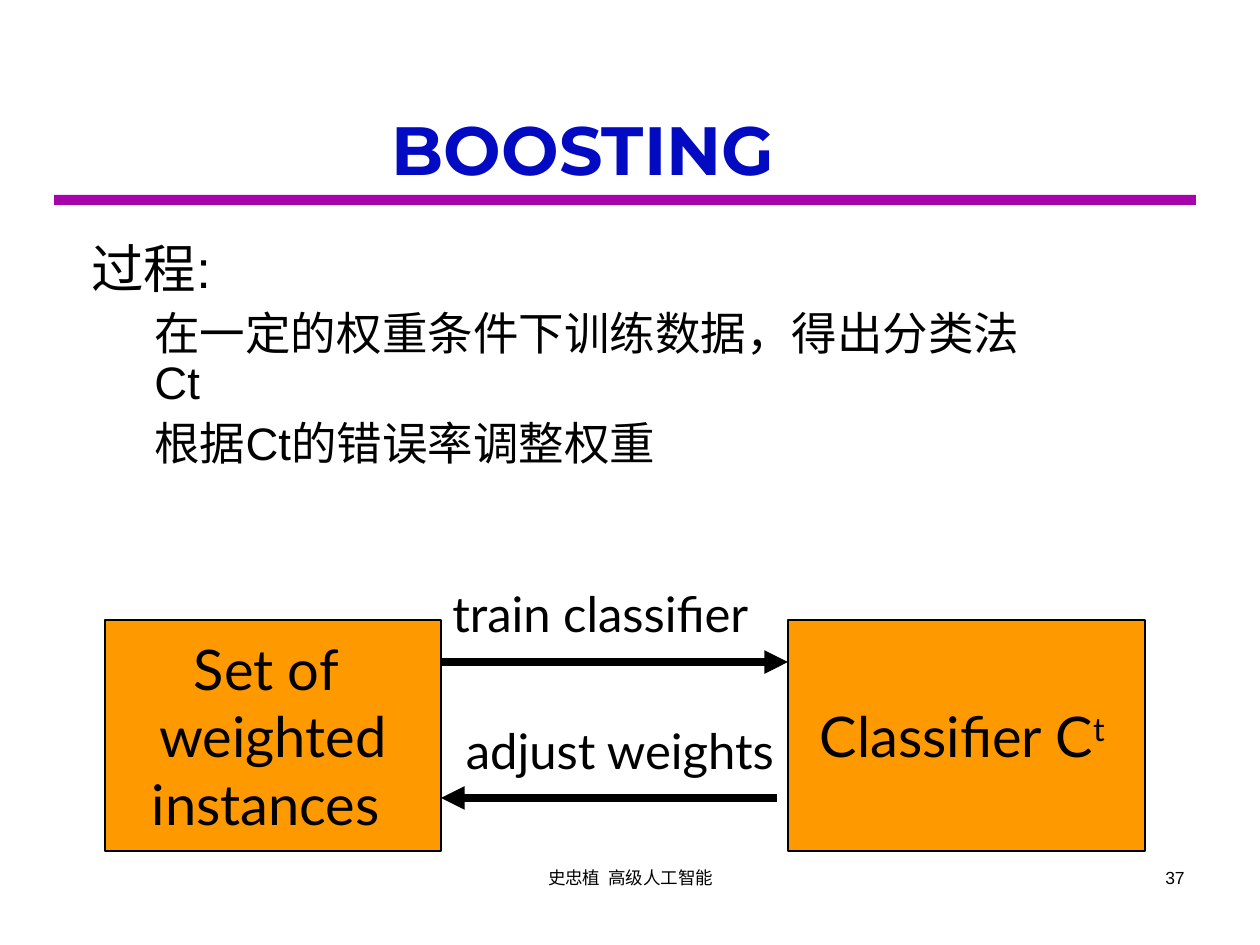
import pptx
import pptx.util
import pptx.dml.color
import pptx.enum.shapes
import pptx.enum.text
import pptx.oxml.ns
from lxml import etree

PX = 914400 / 126
ALIGN = pptx.enum.text.PP_ALIGN
ANCHOR = pptx.enum.text.MSO_ANCHOR
RECTANGLE = pptx.enum.shapes.MSO_SHAPE.RECTANGLE
THEME = {
    "title": ("Montserrat", 39, "020BC2"),
    "body": ("Arial", 30, "000000"),
    "detail": ("Arial", 26, "000000"),
    "box": ("Lato", 32, "000000"),
    "label": ("Lato", 28, "000000"),
    "footer": ("Arial", 10, "000000"),
    "rule": "A603AB",
    "box_fill": "FF9900",
    "line": "000000",
}


def px(*lengths):
    return [pptx.util.Emu(round(length * PX)) for length in lengths]


def write(shape, text, style, align=ALIGN.LEFT, anchor=ANCHOR.TOP, wrap=True):
    name, size, color = THEME[style]
    frame = shape.text_frame
    frame.text = text
    frame.word_wrap = wrap
    frame.vertical_anchor = anchor
    for paragraph in frame.paragraphs:
        paragraph.alignment = align
        for run in paragraph.runs:
            run.font.name = name
            run.font.size = pptx.util.Pt(size)
            run.font.color.rgb = pptx.dml.color.RGBColor.from_string(color)
    return frame


presentation = pptx.Presentation()
presentation.slide_width, presentation.slide_height = px(1260, 945)
slide = presentation.slides.add_slide(presentation.slide_layouts[6])
shapes = slide.shapes

# Rule under the title
rule = shapes.add_shape(RECTANGLE, *px(54, 195, 1142, 10))
rule.shadow.inherit = False
rule.fill.solid()
rule.fill.fore_color.rgb = pptx.dml.color.RGBColor.from_string(THEME["rule"])
rule.line.fill.background()

# Footer and slide number
write(shapes.add_textbox(*px(431, 861, 399, 63)), "史忠植  高级人工智能", "footer", ALIGN.CENTER)
write(shapes.add_textbox(*px(903, 861, 294, 63)), "37", "footer", ALIGN.RIGHT)

# Title
title = write(shapes.add_textbox(*px(63, 16, 1040, 179)), "BOOSTING", "title",
              ALIGN.CENTER, ANCHOR.BOTTOM)
title.paragraphs[0].runs[0].font.bold = True

# Procedure: a heading and two indented steps
body = write(shapes.add_textbox(*px(79, 237, 978, 287)),
             "过程:\n在一定的权重条件下训练数据，得出分类法Ct\n根据Ct的错误率调整权重", "body")
for paragraph in body.paragraphs:
    paragraph.line_spacing = 0.9
for paragraph in body.paragraphs[1:]:
    paragraph.level = 1
    paragraph.space_before = pptx.util.Pt(6.5)
    properties = paragraph._p.get_or_add_pPr()
    properties.set("marL", str(px(63)[0]))
    properties.set("indent", "0")
    paragraph.runs[0].font.size = pptx.util.Pt(THEME["detail"][1])

# Boxes
boxes = []
for left, width, text in [(105, 336, "Set of \nweighted\ninstances "),
                          (788, 357, "Classifier C")]:
    box = shapes.add_shape(RECTANGLE, *px(left, 620, width, 231))
    box.shadow.inherit = False
    box.fill.solid()
    box.fill.fore_color.rgb = pptx.dml.color.RGBColor.from_string(THEME["box_fill"])
    box.line.color.rgb = pptx.dml.color.RGBColor.from_string(THEME["line"])
    box.line.width = pptx.util.Pt(0.75)
    boxes.append(write(box, text, "box", ALIGN.CENTER, ANCHOR.MIDDLE, wrap=False))

# Superscript on the classifier
name, size, color = THEME["box"]
superscript = boxes[1].paragraphs[0].add_run()
superscript.text = "t "
superscript.font.name = name
superscript.font.size = pptx.util.Pt(size)
superscript.font.color.rgb = pptx.dml.color.RGBColor.from_string(color)
superscript._r.get_or_add_rPr().set("baseline", "30000")

# Arrows between the boxes, each with its label
for start, end, y, label, bounds, wrap in [
    (441, 788, 662, "train classifier", (440, 577, 346, 72), False),
    (777, 441, 798, " adjust weights", (441, 714, 420, 131), True),
]:
    arrow = shapes.add_connector(pptx.enum.shapes.MSO_CONNECTOR.STRAIGHT, *px(start, y, end, y))
    arrow.line.width = pptx.util.Pt(4.5)
    arrow.line.color.rgb = pptx.dml.color.RGBColor.from_string(THEME["line"])
    etree.SubElement(arrow.line._get_or_add_ln(), pptx.oxml.ns.qn("a:tailEnd"), type="triangle")
    etree.SubElement(arrow._element.spPr, pptx.oxml.ns.qn("a:effectLst"))
    write(shapes.add_textbox(*px(*bounds)), label, "label", wrap=wrap)

presentation.save("out.pptx")
